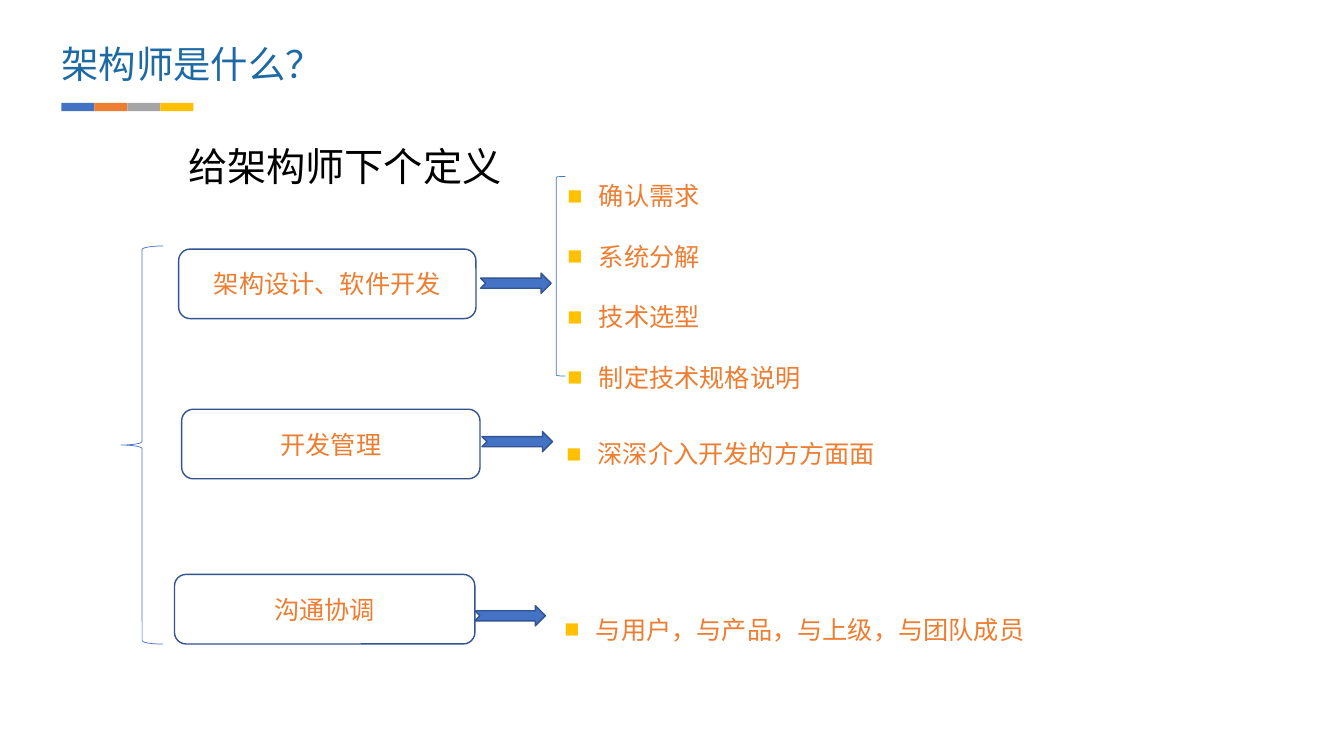
from dataclasses import dataclass
from typing import NamedTuple

from lxml.etree import SubElement
from pptx import Presentation
from pptx.dml.color import RGBColor
from pptx.enum.shapes import MSO_SHAPE
from pptx.enum.text import MSO_ANCHOR, MSO_AUTO_SIZE, PP_ALIGN
from pptx.oxml.ns import qn
from pptx.util import Pt


class Box(NamedTuple):
    """Position and size in points."""
    left: float
    top: float
    width: float
    height: float

    def inner(self, left, top, width, height):
        """Return a box placed relative to this one."""
        return Box(self.left + left, self.top + top, width, height)

    def lengths(self):
        """Return the four lengths for a shape call."""
        return [Pt(value) for value in self]


@dataclass(frozen=True)
class Theme:
    """Colours, font and type sizes of the deck."""
    font: str = "Noto Sans CJK SC"
    bullet_font: str = "Arial"
    title: str = "1D69A3"
    heading: str = "000000"
    accent: str = "ED7D31"
    bullet: str = "FFC000"
    blue: str = "4472C4"
    outline: str = "325491"
    paper: str = "FFFFFF"
    stripes: tuple = ("4472C4", "ED7D31", "A5A5A5", "FFC000")
    title_size: float = 26.7
    heading_size: float = 28
    body_size: float = 18
    line: float = 1
    thin_line: float = 0.5


THEME = Theme()


def apply_formats(target, formats):
    """Set each named attribute on the target."""
    for name, value in formats.items():
        setattr(target, name, value)


def write_span(para, text, size, color):
    """Add one formatted run to a paragraph."""
    span = para.add_run()
    span.text = text
    apply_formats(span.font, {"name": THEME.font, "size": Pt(size)})
    span.font.color.rgb = RGBColor.from_string(color)
    SubElement(span.font._element, qn("a:ea")).set("typeface", THEME.font)


def add_figure(page, kind, box, fill=None, line=None, weight=THEME.line):
    """Add a preset shape with plain fill and line."""
    figure = page.shapes.add_shape(kind, *box.lengths())
    figure.shadow.inherit = False
    if fill:
        figure.fill.solid()
        figure.fill.fore_color.rgb = RGBColor.from_string(fill)
    else:
        figure.fill.background()
    if line:
        figure.line.color.rgb = RGBColor.from_string(line)
        figure.line.width = Pt(weight)
    else:
        figure.line.fill.background()
    return figure


def add_text_frame(page, box, formats):
    """Add a text box that grows with its text."""
    frame = page.shapes.add_textbox(*box.lengths()).text_frame
    apply_formats(frame, {"word_wrap": True, "auto_size": MSO_AUTO_SIZE.SHAPE_TO_FIT_TEXT} | formats)
    return frame


def add_bullet(para):
    """Give a paragraph a hanging square bullet."""
    apply_formats(para, {"level": 1, "line_spacing": 2.0})
    properties = para._p.get_or_add_pPr()
    for name, value in {"marL": Pt(22.5), "indent": -Pt(22.5)}.items():
        properties.set(name, str(value))
    color = SubElement(properties, qn("a:buClr"))
    SubElement(color, qn("a:srgbClr")).set("val", THEME.bullet)
    SubElement(properties, qn("a:buFont")).set("typeface", THEME.bullet_font)
    SubElement(properties, qn("a:buChar")).set("char", "■")


def draw_title(page, box, text):
    """Draw the title with the striped bar below it."""
    margins = dict.fromkeys(("margin_left", "margin_top", "margin_right", "margin_bottom"), 0)
    frame = add_text_frame(page, box.inner(0, 0, box.width, 32.4), margins)
    write_span(frame.paragraphs[0], text, THEME.title_size, THEME.title)
    stripe_width = 23.6
    for index, color in enumerate(THEME.stripes):
        stripe = box.inner(index * stripe_width, box.height - 6, stripe_width, 6)
        add_figure(page, MSO_SHAPE.RECTANGLE, stripe, color)


def draw_heading(page, box, text):
    """Draw the heading above the roles."""
    frame = add_text_frame(page, box, {"word_wrap": False})
    write_span(frame.paragraphs[0], text, THEME.heading_size, THEME.heading)


def draw_role(page, box, label, arrow_offset):
    """Draw a role box and the arrow to its right."""
    role = add_figure(page, MSO_SHAPE.ROUNDED_RECTANGLE, box, THEME.paper, THEME.outline)
    apply_formats(role.text_frame, {"vertical_anchor": MSO_ANCHOR.MIDDLE, "word_wrap": True})
    para = role.text_frame.paragraphs[0]
    para.alignment = PP_ALIGN.CENTER
    write_span(para, label, THEME.body_size, THEME.accent)
    arrow = box.inner(*arrow_offset, 50.4, 14.4)
    add_figure(page, MSO_SHAPE.NOTCHED_RIGHT_ARROW, arrow, THEME.blue, THEME.outline)


def draw_duties(page, box, duties):
    """Draw the bulleted duties of a role."""
    frame = add_text_frame(page, box, {})
    for index, duty in enumerate(duties):
        para = frame.add_paragraph() if index else frame.paragraphs[0]
        add_bullet(para)
        write_span(para, duty, THEME.body_size, THEME.accent)


def draw_definition(page, box):
    """Draw the roles, their duties and the brackets."""
    roles = [
        ("架构设计、软件开发", Box(41.2, 2.2, 212.4, 49.7), (215.7, 17.2),
         Box(311.8, -72, 466.6, 186.5), ["确认需求", "系统分解", "技术选型", "制定技术规格说明"]),
        ("开发管理", Box(43.4, 116.6, 213.1, 49.7), (214.5, 16),
         Box(311, 112.3, 466.6, 43.9), ["深深介入开发的方方面面"]),
        ("沟通协调", Box(38.2, 234.6, 214.6, 49.7), (214.6, 22.4),
         Box(309.6, 237.6, 466.6, 43.9), ["与用户，与产品，与上级，与团队成员"]),
    ]
    for label, role, arrow_offset, detail, duties in roles:
        draw_role(page, box.inner(*role), label, arrow_offset)
        draw_duties(page, box.inner(*detail), duties)
    for kind, place in (
        (MSO_SHAPE.LEFT_BRACE, Box(0, 0, 30.2, box.height)),
        (MSO_SHAPE.LEFT_BRACKET, Box(311, -49.7, 6.5, 142.6)),
    ):
        add_figure(page, kind, box.inner(*place), line=THEME.blue, weight=THEME.thin_line)


def main():
    """Build and save the deck."""
    deck = Presentation()
    apply_formats(deck, {"slide_width": Pt(960), "slide_height": Pt(540)})
    page = deck.slides.add_slide(deck.slide_layouts[6])
    draw_title(page, Box(43.8, 29.5, 432, 50), "架构师是什么？")
    draw_heading(page, Box(127.4, 97.9, 240.5, 41), "给架构师下个定义")
    draw_definition(page, Box(86.4, 175.7, 778.4, 284.4))
    deck.save("out.pptx")


if __name__ == "__main__":
    main()
